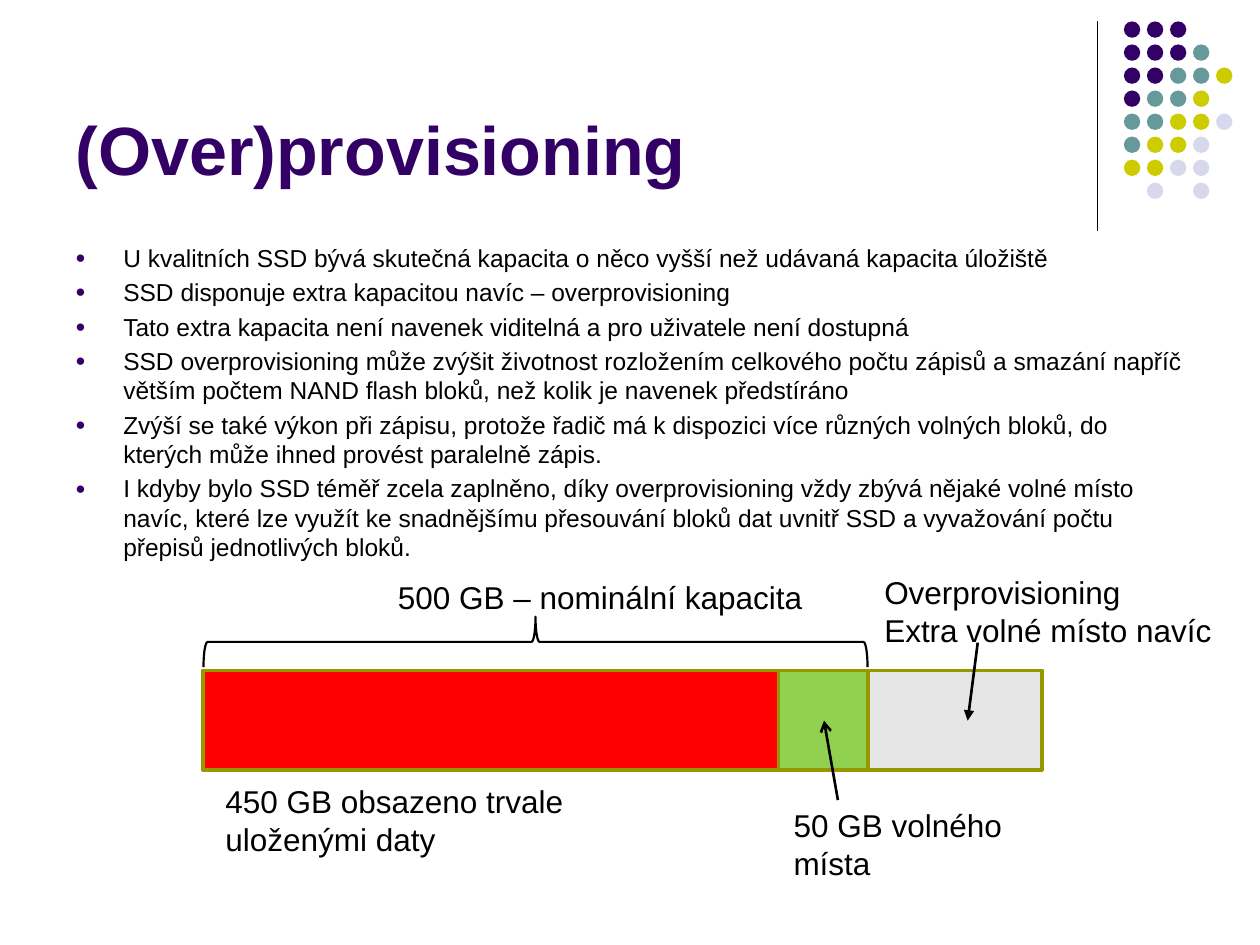
import pptx
import pptx.dml.color
import pptx.enum.shapes
import pptx.enum.text
import pptx.oxml.ns
import pptx.util
from lxml import etree

Inches = pptx.util.Inches
Pt = pptx.util.Pt
RGBColor = pptx.dml.color.RGBColor
SHAPE = pptx.enum.shapes.MSO_SHAPE
ANCHOR = pptx.enum.text.MSO_ANCHOR
qn = pptx.oxml.ns.qn

COLORS = {
    "purple": "330066", "teal": "669999", "lime": "CCCC00", "lilac": "D8D8EC",
    "black": "000000", "olive": "979700", "red": "FF0000", "green": "92D050",
    "gray": "E6E6E6",
}

deck = pptx.Presentation()
deck.slide_width = Inches(10)
deck.slide_height = Inches(7.5)
page = deck.slides.add_slide(deck.slide_layouts[6])


def add_text(text, left, top, width, height, size=18, color="black",
             bold=False, anchor=ANCHOR.TOP, bulleted=False):
    """Add a text box with one paragraph per line of text."""
    box = page.shapes.add_textbox(Inches(left), Inches(top), Inches(width), Inches(height))
    frame = box.text_frame
    frame.word_wrap = True
    frame.vertical_anchor = anchor
    for index, line in enumerate(text.split("\n")):
        para = frame.paragraphs[0] if index == 0 else frame.add_paragraph()
        if bulleted:
            props = para._p.get_or_add_pPr()
            props.set("marL", str(Inches(0.38)))
            props.set("indent", str(-Inches(0.38)))
            bullet_color = etree.SubElement(props, qn("a:buClr"))
            etree.SubElement(bullet_color, qn("a:srgbClr"), val=COLORS["purple"])
            etree.SubElement(props, qn("a:buSzPct"), val="70000")
            etree.SubElement(props, qn("a:buFont"), typeface="Arial")
            etree.SubElement(props, qn("a:buChar"), char="●")
            if index:
                para.space_before = Pt(size * 0.2)
        span = para.add_run()
        span.text = line
        span.font.name = "Arial"
        span.font.size = Pt(size)
        span.font.bold = bold
        span.font.color.rgb = RGBColor.from_string(COLORS[color])


def add_line(start, end, weight, head=None):
    """Add a straight black line, with an arrowhead at its end if head is given."""
    line = page.shapes.add_connector(
        pptx.enum.shapes.MSO_CONNECTOR.STRAIGHT,
        Inches(start[0]), Inches(start[1]), Inches(end[0]), Inches(end[1]))
    line.line.color.rgb = RGBColor.from_string(COLORS["black"])
    line.line.width = Pt(weight)
    if head:
        etree.SubElement(line.line._get_or_add_ln(), qn("a:tailEnd"), type=head)
    etree.SubElement(line._element.spPr, qn("a:effectLst"))


# Corner ornament: a rule and a grid of dots
add_line((8.71, 0.17), (8.71, 1.83), 0.75)
dot_colors = {"P": "purple", "T": "teal", "L": "lime", "V": "lilac"}
dot_rows = ["PPP", "PPPT", "PPTTL", "PTTL", "TTLLV", "TLLV", "LLVV", ".V.V"]
dot_pitch = 1.28 / 7
for row, letters in enumerate(dot_rows):
    for column, letter in enumerate(letters):
        if letter == ".":
            continue
        dot = page.shapes.add_shape(
            SHAPE.OVAL, Inches(8.92 + column * dot_pitch), Inches(0.17 + row * dot_pitch),
            Inches(0.13), Inches(0.13))
        dot.shadow.inherit = False
        dot.fill.solid()
        dot.fill.fore_color.rgb = RGBColor.from_string(COLORS[dot_colors[letter]])
        dot.line.fill.background()

# Title and bullet points
add_text("(Over)provisioning", 0.5, 0.13, 8.25, 1.42, size=39, color="purple",
         bold=True, anchor=ANCHOR.BOTTOM)
points = [
    "U kvalitních SSD bývá skutečná kapacita o něco vyšší než udávaná kapacita úložiště",
    "SSD disponuje extra kapacitou navíc – overprovisioning",
    "Tato extra kapacita není navenek viditelná a pro uživatele není dostupná",
    "SSD overprovisioning může zvýšit životnost rozložením celkového počtu zápisů a smazání "
    "napříč větším počtem NAND flash bloků, než kolik je navenek předstíráno",
    "Zvýší se také výkon při zápisu, protože řadič má k dispozici více různých volných bloků, "
    "do kterých může ihned provést paralelně zápis.",
    "I kdyby bylo SSD téměř zcela zaplněno, díky overprovisioning vždy zbývá nějaké volné "
    "místo navíc, které lze využít ke snadnějšímu přesouvání bloků dat uvnitř SSD a "
    "vyvažování počtu přepisů jednotlivých bloků.",
]
add_text("\n".join(points), 0.5, 1.88, 8.99, 2.76, size=14, bulleted=True)

# Capacity bar: used, free and extra space side by side
left = 1.61
for width, color in [(4.57, "red"), (0.71, "green"), (1.38, "gray")]:
    segment = page.shapes.add_shape(
        SHAPE.RECTANGLE, Inches(left), Inches(5.32), Inches(width), Inches(0.79))
    segment.shadow.inherit = False
    segment.fill.solid()
    segment.fill.fore_color.rgb = RGBColor.from_string(COLORS[color])
    segment.line.color.rgb = RGBColor.from_string(COLORS["olive"])
    segment.line.width = Pt(2)
    left += width

# Brace over the nominal capacity
brace = page.shapes.add_shape(
    SHAPE.LEFT_BRACE, Inches(4.05), Inches(2.46), Inches(0.4), Inches(5.27))
brace.rotation = 90
brace.adjustments[0] = 0.08
brace.adjustments[1] = 0.5
brace.shadow.inherit = False
brace.fill.background()
brace.line.color.rgb = RGBColor.from_string(COLORS["black"])
brace.line.width = Pt(1.25)

# Labels and their arrows
add_text("500 GB – nominální kapacita", 3.06, 4.54, 3.86, 0.4)
add_text("450 GB obsazeno trvale uloženými daty", 1.69, 6.16, 3.46, 0.71)
add_text("50 GB volného místa", 6.2, 6.35, 2.36, 0.71)
add_text("Overprovisioning\nExtra volné místo navíc", 6.92, 4.5, 2.83, 0.71)
add_line((6.65, 6.35), (6.54, 5.72), 1.5, head="arrow")
add_line((7.76, 5.1), (7.68, 5.72), 1.5, head="triangle")

deck.save("out.pptx")
